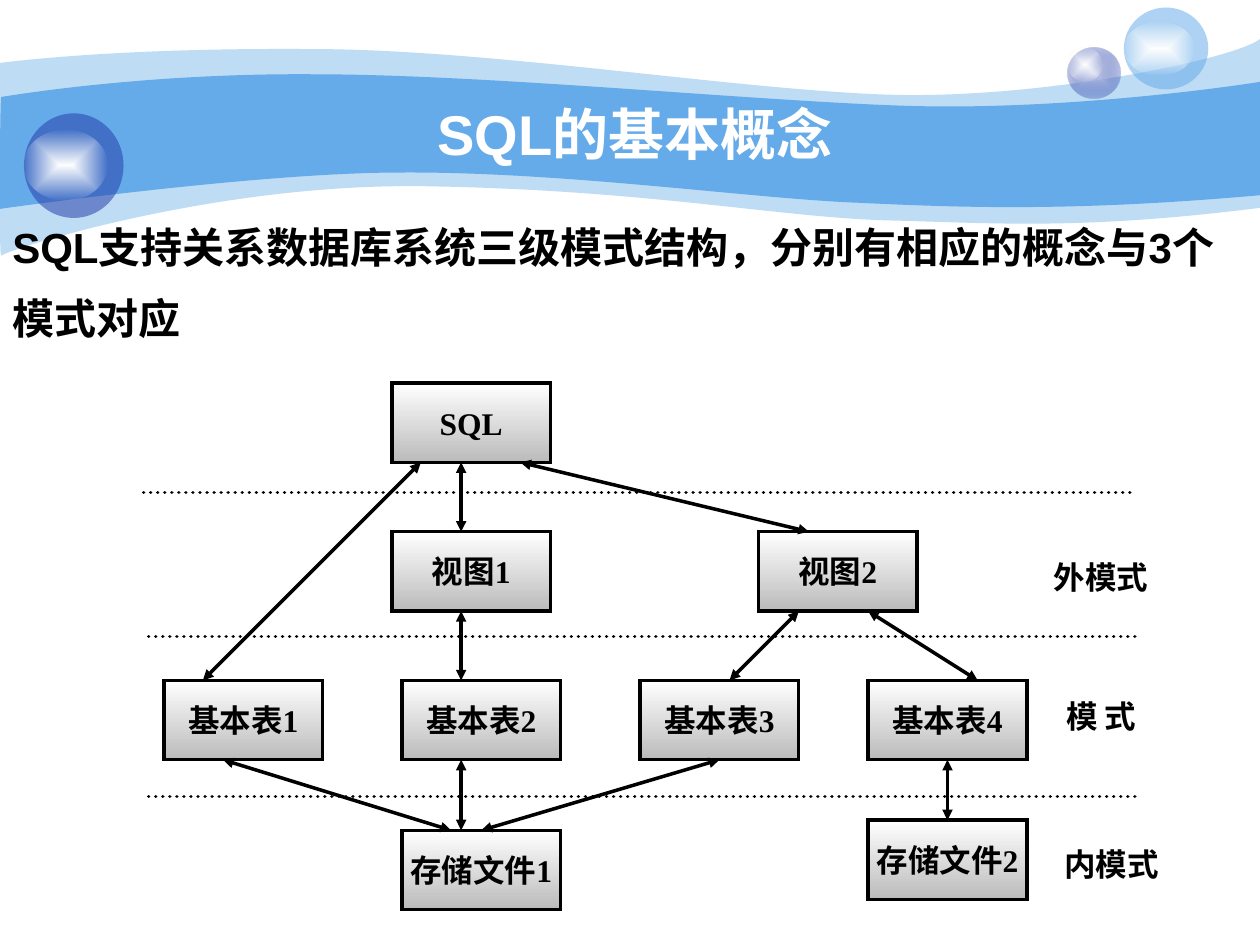
from lxml import etree
from pptx import Presentation
from pptx.dml.color import RGBColor
from pptx.enum.dml import MSO_LINE
from pptx.enum.shapes import MSO_CONNECTOR, MSO_SHAPE
from pptx.enum.text import MSO_ANCHOR, PP_ALIGN
from pptx.oxml import parse_xml
from pptx.oxml.ns import nsdecls, qn
from pptx.util import Inches, Pt

RECT, OVAL = MSO_SHAPE.RECTANGLE, MSO_SHAPE.OVAL
STRAIGHT, DOTTED = MSO_CONNECTOR.STRAIGHT, MSO_LINE.ROUND_DOT
CENTER, LEFT = PP_ALIGN.CENTER, PP_ALIGN.LEFT
TOP, MIDDLE = MSO_ANCHOR.TOP, MSO_ANCHOR.MIDDLE
TOP_SITE, BOTTOM_SITE = 0, 2

WHITE = RGBColor(0xFF, 0xFF, 0xFF)
BLACK = RGBColor(0, 0, 0)
GRAY = RGBColor(0xBB, 0xBB, 0xBB)
SKY = RGBColor(0x65, 0xAA, 0xE9)
NAVY = RGBColor(0x23, 0x3D, 0xA9)
PALE = RGBColor(0xC7, 0xCE, 0xE9)

TITLE = "SQL的基本概念"
BODY = "SQL支持关系数据库系统三级模式结构，分别有相应的概念与3个模式对应"

# Waves: opacity and outline; two numbers make a line, six make a curve
WAVES = [
    (41, (0, 0.5), [
        (0.24, 0.47, 1.07, 0.38, 2.47, 0.39), (3.86, 0.39, 5.75, 0.7, 6.99, 0.75),
        (8.22, 0.8, 9.8, 0.47, 10, 0.31), (10, 1.65),
        (8.58, 1.83, 7.87, 1.77, 7.05, 1.75), (6.22, 1.73, 5.15, 1.51, 3.43, 1.48),
        (1.72, 1.44, 0.04, 1.99, 0.01, 2.03), (-0.01, 2.08, 0, 0.75, 0, 0.5)]),
    (100, (0.01, 0.77), [
        (0.02, 0.77, 1.1, 0.58, 2.48, 0.59), (3.86, 0.59, 5.95, 0.8, 7.18, 0.84),
        (8.41, 0.88, 9.76, 0.69, 10, 0.65), (10, 1.55),
        (8.53, 1.68, 7.65, 1.65, 6.82, 1.61), (5.99, 1.58, 4.47, 1.36, 3.17, 1.37),
        (2.03, 1.37, -0.02, 1.66, -0.01, 1.66), (0, 1.66, 0, 0.77, 0.01, 0.77)]),
]

# Bubbles: place, then gradient stops as (colour, opacity)
GLOW = [(WHITE, 100), (WHITE, 0)]
BUBBLES = [
    ((8.47, 0.38, 0.42, 0.4), [(PALE, 100), (NAVY, 31)]),
    ((8.47, 0.38, 0.28, 0.27), GLOW),
    ((8.92, 0.06, 0.67, 0.65), [(SKY, 53)]),
    ((8.92, 0.17, 0.56, 0.43), GLOW),
    ((0.19, 0.9, 0.79, 0.83), [(NAVY, 53)]),
    ((0.19, 1.03, 0.66, 0.56), GLOW),
]
DOWNWARD = '<a:lin ang="5400000" scaled="1"/>'
FROM_CENTER = ('<a:path path="rect"><a:fillToRect l="50000" t="50000" '
               'r="50000" b="50000"/></a:path>')

# Diagram boxes: name and top left corner
BOX_WIDTH, BOX_HEIGHT = 1.26, 0.63
BOXES = [
    ("SQL", 3.11, 3.04), ("视图2", 6.02, 4.22), ("视图1", 3.11, 4.22),
    ("基本表2", 3.19, 5.4), ("基本表1", 1.3, 5.4), ("基本表3", 5.08, 5.4),
    ("基本表4", 6.89, 5.4), ("存储文件2", 6.89, 6.51), ("存储文件1", 3.19, 6.59),
]
# Links: upper box and lower box, each with the offset from its centre
LINKS = [
    ("SQL", -0.4, "基本表1", -0.32), ("SQL", -0.08, "视图1", -0.08),
    ("视图1", -0.08, "基本表2", -0.16), ("基本表2", -0.16, "存储文件1", -0.16),
    ("SQL", 0.39, "视图2", -0.23), ("视图2", -0.31, "基本表3", 0.08),
    ("视图2", 0.24, "基本表4", 0.24), ("基本表1", -0.16, "存储文件1", -0.24),
    ("基本表3", 0, "存储文件1", 0), ("基本表4", 0, "存储文件2", 0),
]
DIVIDERS = [(1.14, 3.91), (1.18, 5.05), (1.18, 6.32)]
DIVIDER_LENGTH = 7.87
LEVELS = [("外模式", 8.15, 4.38), ("模 式", 8.15, 5.48), ("内模式", 8.23, 6.66)]


def write(shape, text, size=18, font="Times New Roman", color=BLACK, align=CENTER,
          anchor=TOP, wrap=True, before=0, spacing=None):
    frame = shape.text_frame
    frame.word_wrap = wrap
    frame.vertical_anchor = anchor
    para = frame.paragraphs[0]
    para.alignment = align
    para.space_before = Pt(before)
    para.line_spacing = spacing
    span = para.add_run()
    span.text = text
    span.font.size, span.font.name, span.font.bold = Pt(size), font, True
    span.font.color.rgb = color


def paint(shape, stops, direction=DOWNWARD):
    """Fill with one colour or a gradient of (colour, opacity) stops."""
    colors = [f'<a:srgbClr val="{color}"><a:alpha val="{opacity * 1000}"/></a:srgbClr>'
              for color, opacity in stops]
    if len(colors) == 1:
        xml = f'<a:solidFill {nsdecls("a")}>{colors[0]}</a:solidFill>'
    else:
        marks = "".join(f'<a:gs pos="{index * 100000}">{color}</a:gs>'
                        for index, color in enumerate(colors))
        xml = (f'<a:gradFill {nsdecls("a")} rotWithShape="1"><a:gsLst>{marks}</a:gsLst>'
               f'{direction}</a:gradFill>')
    shape.fill.solid()
    old = shape.element.spPr.find(qn("a:solidFill"))
    old.getparent().replace(old, parse_xml(xml))
    shape.shadow.inherit = False
    shape.line.fill.background()


def draw_outline(shape):
    """Give a shape a black line and return its line element."""
    shape.line.color.rgb = BLACK
    shape.line.width = Pt(2)
    return shape.element.spPr.find(qn("a:ln"))


def add_wave(page, start, steps):
    """Build the outline through all points, then bend the six-number steps."""
    points = [tuple(map(Inches, step[index:index + 2]))
              for step in steps for index in range(0, len(step), 2)]
    builder = page.shapes.build_freeform(*map(Inches, start))
    builder.add_line_segments(points, close=True)
    wave = builder.convert_to_shape()
    segments = iter(list(wave.element.iter(qn("a:lnTo"))))
    for step in steps:
        first = next(segments)
        if len(step) == 6:
            first.tag = qn("a:cubicBezTo")
            for segment in (next(segments), next(segments)):
                first.append(segment[0])
                segment.getparent().remove(segment)
    return wave


def add_line(page, x1, y1, x2, y2):
    line = page.shapes.add_connector(STRAIGHT, *map(Inches, (x1, y1, x2, y2)))
    outline = draw_outline(line)
    etree.SubElement(line.element.spPr, qn("a:effectLst"))
    return line, outline


def main():
    deck = Presentation()
    deck.slide_width, deck.slide_height = Inches(10), Inches(7.5)
    page = deck.slides.add_slide(deck.slide_layouts[6])
    shapes = page.shapes

    # Waves and bubbles
    for opacity, start, steps in WAVES:
        paint(add_wave(page, start, steps), [(SKY, opacity)])
    for place, stops in BUBBLES:
        paint(shapes.add_shape(OVAL, *map(Inches, place)), stops, FROM_CENTER)

    # Title
    title = shapes.add_textbox(*map(Inches, (1, 0.75, 8.08, 0.62)))
    write(title, TITLE, size=32, font="Arial", color=WHITE, anchor=MIDDLE)

    # Diagram boxes
    boxes = {}
    for name, x, y in BOXES:
        box = shapes.add_shape(RECT, *map(Inches, (x, y, BOX_WIDTH, BOX_HEIGHT)))
        paint(box, [(WHITE, 100), (GRAY, 100)])
        etree.SubElement(draw_outline(box), qn("a:miter"), lim="800000")
        write(box, name, anchor=MIDDLE, wrap=False)
        boxes[name] = (box, x + BOX_WIDTH / 2, y)

    # Two-headed links
    for upper, upper_shift, lower, lower_shift in LINKS:
        upper_box, upper_x, upper_y = boxes[upper]
        lower_box, lower_x, lower_y = boxes[lower]
        link, outline = add_line(page, upper_x + upper_shift, upper_y + BOX_HEIGHT,
                                 lower_x + lower_shift, lower_y)
        if upper_shift == 0:
            link.begin_connect(upper_box, BOTTOM_SITE)
        if lower_shift == 0:
            link.end_connect(lower_box, TOP_SITE)
        for end in ("a:headEnd", "a:tailEnd"):
            etree.SubElement(outline, qn(end), type="triangle")

    # Dividers and level names
    for x, y in DIVIDERS:
        divider, outline = add_line(page, x, y, x + DIVIDER_LENGTH, y)
        divider.line.dash_style = DOTTED
        outline.set("cap", "rnd")
    for name, x, y in LEVELS:
        label = shapes.add_textbox(*map(Inches, (x, y, 1.18, 0.4)))
        write(label, name, before=11.2)

    # Statement
    body = shapes.add_textbox(*map(Inches, (0, 1.55, 10, 1.22)))
    write(body, BODY, size=24, font="Arial", align=LEFT, before=6, spacing=1.4)

    deck.save("out.pptx")


if __name__ == "__main__":
    main()
